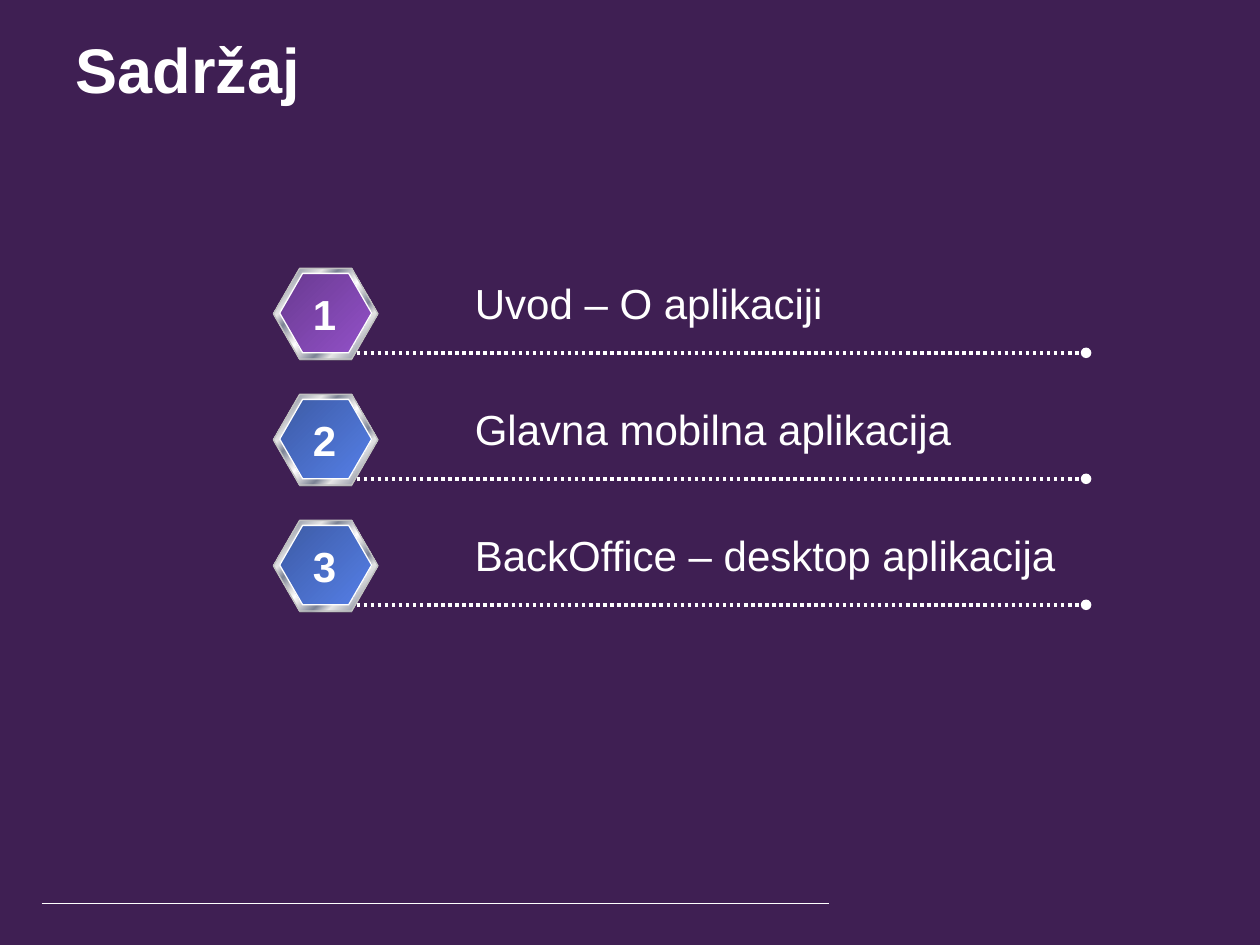
from collections import namedtuple
from dataclasses import dataclass

from lxml.etree import SubElement
from pptx import Presentation
from pptx.dml.color import RGBColor
from pptx.enum.dml import MSO_LINE
from pptx.enum.shapes import MSO_CONNECTOR, MSO_SHAPE
from pptx.enum.text import MSO_ANCHOR, MSO_AUTO_SIZE, PP_ALIGN
from pptx.oxml.ns import qn
from pptx.util import Inches, Pt

Box = namedtuple("Box", "left top width height")


@dataclass(frozen=True)
class Theme:
    """Colours, font and type sizes of the deck."""
    background: str = "3F1F53"
    text: str = "FFFFFF"
    shade: str = "808080"
    rim: str = "C0C0C0"
    purple: tuple = ((0, "693A90"), (100, "9351C9"))
    blue: tuple = ((0, "3D5BA5"), (100, "557FE7"))
    metal: tuple = (
        (0, "E6E6E6"), (7, "7D8496"), (26, "E6E6E6"), (34, "7D8496"),
        (46, "E6E6E6"), (50, "FFFFFF"), (54, "E6E6E6"), (66, "7D8496"),
        (74, "E6E6E6"), (93, "7D8496"), (100, "E6E6E6"))
    font: str = "Arial"
    title_size: int = 36
    entry_size: int = 24


THEME = Theme()
WIDTH, HEIGHT = 10, 7.5
ENTRIES = (
    ("Uvod – O aplikaciji", THEME.purple),
    ("Glavna mobilna aplikacija", THEME.blue),
    ("BackOffice – desktop aplikacija", THEME.blue),
)


def emu(box):
    """Convert a box in inches to slide lengths."""
    return [Inches(length) for length in box]


def write_text(shape, text, size, bold=False, align=PP_ALIGN.LEFT, **frame_format):
    """Put one formatted paragraph into a shape."""
    frame = shape.text_frame
    for name, value in frame_format.items():
        setattr(frame, name, value)
    para = frame.paragraphs[0]
    para.alignment = align
    span = para.add_run()
    span.text = text
    for name, value in {"name": THEME.font, "size": Pt(size), "bold": bold}.items():
        setattr(span.font, name, value)
    span.font.color.rgb = RGBColor.from_string(THEME.text)


def add_label(page, text, box, **formats):
    """Add an unwrapped text box that fits its text."""
    label = page.shapes.add_textbox(*emu(box))
    write_text(label, text, THEME.entry_size, word_wrap=False,
               auto_size=MSO_AUTO_SIZE.SHAPE_TO_FIT_TEXT, **formats)


def add_rule(page, start, end, weight, dash=None, tail=None):
    """Draw a white line, optionally dotted and with an end mark."""
    rule = page.shapes.add_connector(
        MSO_CONNECTOR.STRAIGHT, *emu(start), *emu(end))
    rule.line.color.rgb = RGBColor.from_string(THEME.text)
    rule.line.width = Pt(weight)
    if dash:
        rule.line.dash_style = dash
    properties = rule.element.spPr
    if tail:
        SubElement(properties.find(qn("a:ln")), qn("a:tailEnd"), type=tail)
    SubElement(properties, qn("a:effectLst"))


def fill_gradient(shape, stops):
    """Fill a shape with colour stops running to the lower right."""
    shape.fill.gradient()
    shape.fill.gradient_angle = 315
    stop_list = shape.element.spPr.find(qn("a:gradFill")).find(qn("a:gsLst"))
    for old in list(stop_list):
        stop_list.remove(old)
    for position, colour in stops:
        stop = SubElement(stop_list, qn("a:gs"), pos=str(position * 1000))
        SubElement(stop, qn("a:srgbClr"), val=colour)


def add_hexagon(group, box, fill, outline=None):
    """Add one hexagon with a plain or gradient fill."""
    hexagon = group.shapes.add_shape(MSO_SHAPE.HEXAGON, *emu(box))
    hexagon.adjustments[0] = 0.289
    hexagon.shadow.inherit = False
    if isinstance(fill, str):
        hexagon.fill.solid()
        hexagon.fill.fore_color.rgb = RGBColor.from_string(fill)
    else:
        fill_gradient(hexagon, fill)
    if outline:
        hexagon.line.color.rgb = RGBColor.from_string(outline)
        hexagon.line.width = Pt(0.75)
    else:
        hexagon.line.fill.background()


def add_badge(page, box, colours):
    """Stack shade, metal rim and coloured face into a badge."""
    left, top, width, height = box
    group = page.shapes.add_group_shape()
    add_hexagon(group, Box(left, top + 0.01, width, height), THEME.shade)
    add_hexagon(group, box, THEME.metal, THEME.rim)
    add_hexagon(group, Box(left + 0.05, top + 0.04, width - 0.1, height - 0.09),
                colours, THEME.text)


def add_entry(page, box, number, text, colours):
    """Place a numbered badge, its text and the dotted rule in a row."""
    left, top, width, height = box
    add_badge(page, Box(left, top, 0.83, height), colours)
    rule_top = top + 0.67
    add_rule(page, (left + 0.66, rule_top), (left + width, rule_top), 2,
             MSO_LINE.ROUND_DOT, "oval")
    add_label(page, text, Box(left + 1.5, top + 0.02, width - 1.5, 0.5))
    add_label(page, str(number), Box(left + 0.21, top + 0.11, 0.39, 0.5),
              bold=True, align=PP_ALIGN.CENTER)


def add_contents(page, box):
    """Spread the entries over equal rows of the box."""
    pitch = box.height / len(ENTRIES)
    for index, (text, colours) in enumerate(ENTRIES):
        row = Box(box.left, box.top + index * pitch, box.width, 0.72)
        add_entry(page, row, index + 1, text, colours)


def add_title(page, box, text):
    """Move and format the title placeholder."""
    title = page.shapes.title
    for name, value in zip(("left", "top", "width", "height"), emu(box)):
        setattr(title, name, value)
    write_text(title, text, THEME.title_size, bold=True, word_wrap=True,
               vertical_anchor=MSO_ANCHOR.MIDDLE, auto_size=MSO_AUTO_SIZE.NONE)


def main():
    """Build and save the contents slide."""
    deck = Presentation()
    deck.slide_width, deck.slide_height = Inches(WIDTH), Inches(HEIGHT)
    page = deck.slides.add_slide(deck.slide_layouts[5])
    page.background.fill.solid()
    page.background.fill.fore_color.rgb = RGBColor.from_string(THEME.background)
    rule_top = HEIGHT - 0.33
    add_rule(page, (0.33, rule_top), (6.58, rule_top), 0.5)
    add_title(page, Box(0.05 * WIDTH, 0.29, 0.8 * WIDTH, 0.5), "Sadržaj")
    add_contents(page, Box(2.17, 2.13, 6.45, 3))
    deck.save("out.pptx")


if __name__ == "__main__":
    main()
